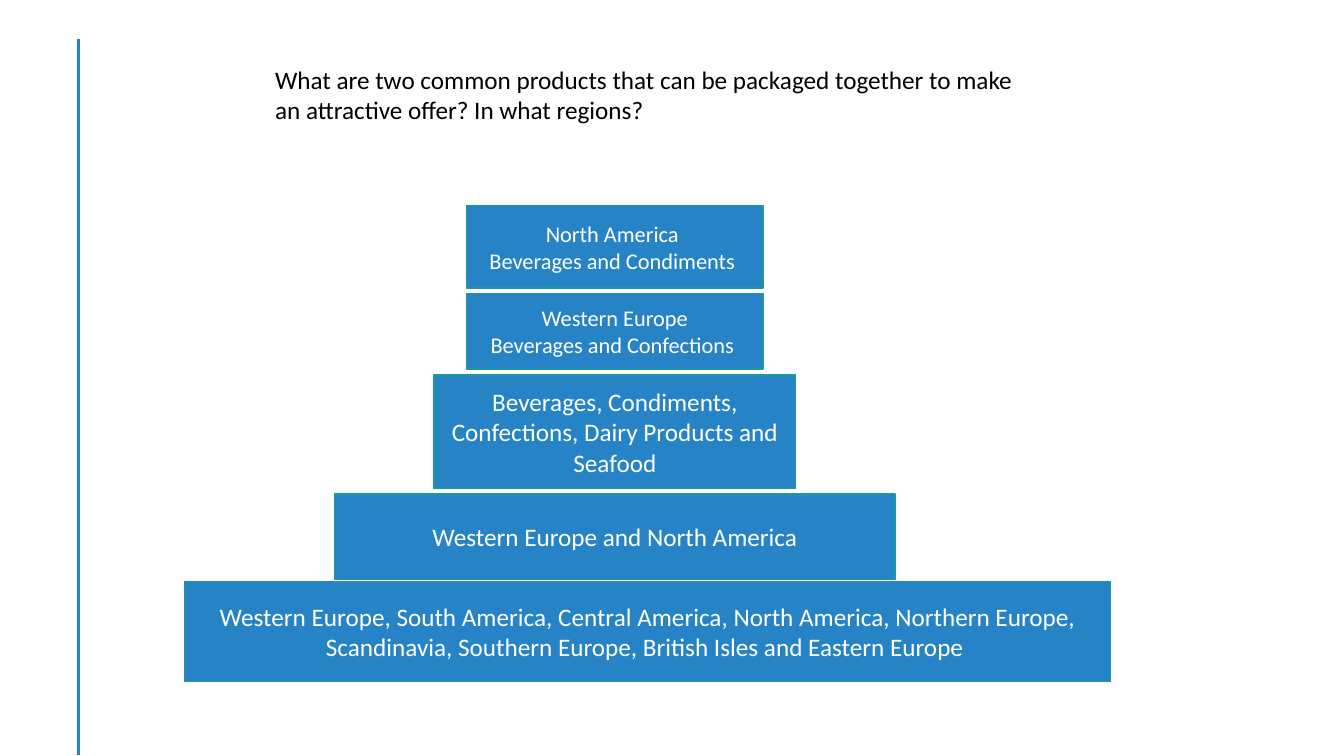
from lxml.etree import SubElement
from pptx import Presentation
from pptx.dml.color import RGBColor
from pptx.enum.shapes import MSO_CONNECTOR, MSO_SHAPE
from pptx.enum.text import MSO_ANCHOR, MSO_AUTO_SIZE, PP_ALIGN
from pptx.oxml.ns import qn
from pptx.util import Pt

COLORS = {"block": "2683C6", "outline": "1D989F", "light": "FFFFFF", "dark": "000000"}
FONT = "Calibri"

QUESTION = ("What are two common products that can be packaged together to make "
            "an attractive offer? In what regions?")

# Each tier: center, top, width, height, text size, paragraphs
TIERS = [
    (439.2, 146.9, 211.7, 59, 16, ["North America ", "Beverages and Condiments "]),
    (439.2, 209.5, 211.7, 54, 16, ["Western Europe", "Beverages and Confections "]),
    (439.2, 267.8, 258.5, 81.4, 18,
     ["Beverages, Condiments, Confections, Dairy Products and Seafood"]),
    (439.2, 352.8, 400.3, 61.2, 18, ["Western Europe and North America"]),
    (462.6, 415.4, 661.7, 71.3, 18,
     ["Western Europe, South America, Central America, North America, Northern Europe, "
      "Scandinavia, Southern Europe, British Isles and Eastern Europe "]),
]


def color(name):
    return RGBColor.from_string(COLORS[name])


def write_paragraphs(frame, texts, size, color_name, alignment):
    frame.word_wrap = True
    for index, text in enumerate(texts):
        para = frame.paragraphs[0] if index == 0 else frame.add_paragraph()
        para.alignment = alignment
        span = para.add_run()
        span.text = text
        span.font.name = FONT
        span.font.size = Pt(size)
        span.font.color.rgb = color(color_name)


def add_side_rule(page, left, top, height):
    rule = page.shapes.add_connector(
        MSO_CONNECTOR.STRAIGHT, Pt(left), Pt(top), Pt(left), Pt(top + height))
    rule.line.color.rgb = color("block")
    rule.line.width = Pt(2)
    SubElement(rule._element.spPr, qn("a:effectLst"))


def add_question(page, left, top, width, height):
    box = page.shapes.add_textbox(Pt(left), Pt(top), Pt(width), Pt(height))
    write_paragraphs(box.text_frame, [QUESTION], 18, "dark", PP_ALIGN.LEFT)
    box.text_frame.auto_size = MSO_AUTO_SIZE.SHAPE_TO_FIT_TEXT


def add_tier(page, center, top, width, height, size, texts):
    box = page.shapes.add_shape(
        MSO_SHAPE.RECTANGLE, Pt(center - width / 2), Pt(top), Pt(width), Pt(height))
    box.shadow.inherit = False
    box.fill.solid()
    box.fill.fore_color.rgb = color("block")
    box.line.color.rgb = color("outline")
    box.line.width = Pt(1)
    box.text_frame.vertical_anchor = MSO_ANCHOR.MIDDLE
    write_paragraphs(box.text_frame, texts, size, "light", PP_ALIGN.CENTER)


def main():
    deck = Presentation()
    deck.slide_width, deck.slide_height = Pt(960), Pt(540)
    page = deck.slides.add_slide(deck.slide_layouts[6])

    # Rule on the left edge
    add_side_rule(page, 56.2, 27.8, 511.8)
    # Question at the top
    add_question(page, 189.4, 42.5, 545, 72.7)
    # Pyramid of regions and products
    for tier in TIERS:
        add_tier(page, *tier)

    deck.save("out.pptx")


if __name__ == "__main__":
    main()
